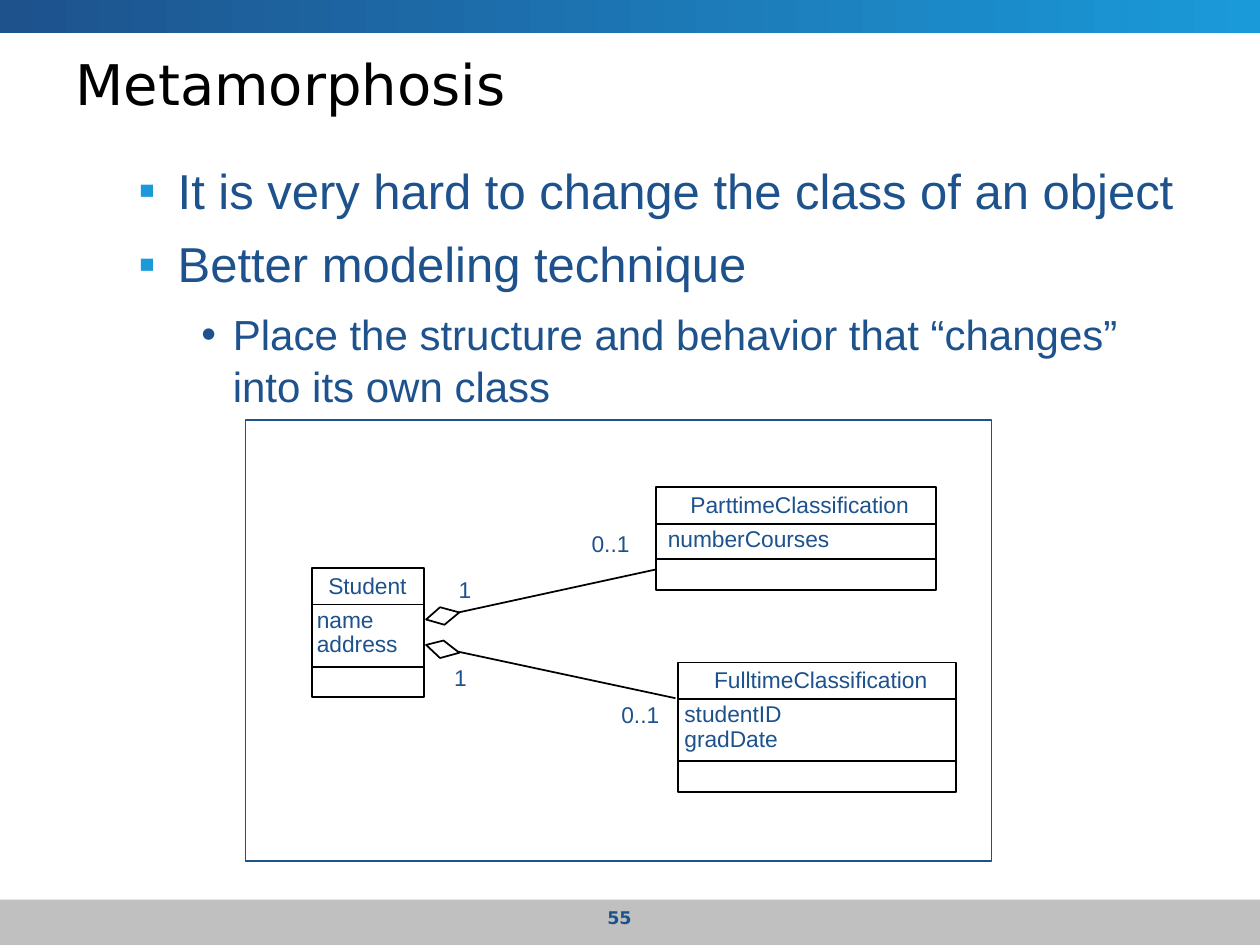
from lxml.etree import SubElement
from pptx import Presentation
from pptx.dml.color import RGBColor
from pptx.enum.shapes import MSO_CONNECTOR, MSO_SHAPE
from pptx.enum.text import MSO_ANCHOR, PP_ALIGN
from pptx.oxml.ns import qn
from pptx.util import Pt

COLORS = {"navy": "1D528D", "sky": "1B9AD9", "grey": "C0C0C0",
          "white": "FFFFFF", "black": "000000"}


def rgb(name):
    return RGBColor.from_string(COLORS[name])


class SlideWriter:
    body_font = "Arial"
    heading_font = "DejaVu Sans"

    def __init__(self, slide):
        self.slide = slide
        self.shapes = slide.shapes

    def paint(self, shape, fill=None, line=None, weight=1):
        shape.shadow.inherit = False
        if fill:
            shape.fill.solid()
            shape.fill.fore_color.rgb = rgb(fill)
        else:
            shape.fill.background()
        if line:
            shape.line.color.rgb = rgb(line)
            shape.line.width = Pt(weight)
        else:
            shape.line.fill.background()
        return shape

    def rect(self, x, y, w, h, **style):
        shape = self.shapes.add_shape(MSO_SHAPE.RECTANGLE, Pt(x), Pt(y), Pt(w), Pt(h))
        return self.paint(shape, **style)

    def gradient_band(self, x, y, w, h, stops):
        band = self.rect(x, y, w, h)
        band.fill.gradient()
        band.fill.gradient_angle = 0
        for stop, (position, color) in zip(band.fill.gradient_stops, stops):
            stop.position = position
            stop.color.rgb = rgb(color)

    def line(self, x1, y1, x2, y2):
        line = self.shapes.add_connector(
            MSO_CONNECTOR.STRAIGHT, Pt(x1), Pt(y1), Pt(x2), Pt(y2))
        line.line.color.rgb = rgb("black")
        line.line.width = Pt(1)
        SubElement(line._element.spPr, qn("a:effectLst"))

    def polygon(self, points):
        start, *others = [(Pt(x), Pt(y)) for x, y in points]
        builder = self.shapes.build_freeform(*start)
        builder.add_line_segments(others, close=True)
        self.paint(builder.convert_to_shape(), fill="white", line="black")

    def style(self, paragraph, size, font, color="navy", bold=False):
        paragraph.font.size = Pt(size)
        paragraph.font.name = font
        paragraph.font.bold = bold
        paragraph.font.color.rgb = rgb(color)

    def text(self, x, y, w, h, words, size=13, font=body_font, wrap=False,
             anchor=MSO_ANCHOR.TOP, align=PP_ALIGN.LEFT, **look):
        frame = self.shapes.add_textbox(Pt(x), Pt(y), Pt(w), Pt(h)).text_frame
        frame.word_wrap = wrap
        frame.vertical_anchor = anchor
        paragraph = frame.paragraphs[0]
        paragraph.text = words
        paragraph.alignment = align
        self.style(paragraph, size, font, **look)

    def bullets(self, x, y, w, h, items):
        frame = self.shapes.add_textbox(Pt(x), Pt(y), Pt(w), Pt(h)).text_frame
        frame.word_wrap = True
        frame.margin_top = Pt(5.3)
        levels = {1: ("▪", "sky", 58.5, 22.5, 28, 7), 2: ("•", "navy", 90, 18, 24, 8)}
        for i, (level, words) in enumerate(items):
            mark, color, indent, hanging, size, before = levels[level]
            paragraph = frame.add_paragraph() if i else frame.paragraphs[0]
            paragraph.text = words
            paragraph.level = level
            paragraph.line_spacing = 1.04
            if i:
                paragraph.space_before = Pt(before)
            props = paragraph._p.get_or_add_pPr()
            props.set("marL", str(Pt(indent)))
            props.set("indent", str(-Pt(hanging)))
            bullet_color = SubElement(props, qn("a:buClr"))
            SubElement(bullet_color, qn("a:srgbClr"), val=COLORS[color])
            SubElement(props, qn("a:buFont"), typeface=self.body_font)
            SubElement(props, qn("a:buChar"), char=mark)
            self.style(paragraph, size, self.body_font)

    def uml_class(self, x, y, w, h, name, name_box, attributes, attribute_x):
        """Class box: name, attributes and an empty operations part."""
        self.rect(x, y, w, h, line="black")
        name_x, name_w = name_box
        self.text(name_x, y - 1.5, name_w, 23, name)
        for divider_y in (y + 21, y + h - 17.5):
            self.line(x, divider_y, x + w, divider_y)
        for i, (attribute, width) in enumerate(attributes):
            self.text(attribute_x, y + 18 + 14 * i, width, 23, attribute)


def main():
    prs = Presentation()
    prs.slide_width, prs.slide_height = Pt(720), Pt(540)
    page = SlideWriter(prs.slides.add_slide(prs.slide_layouts[6]))

    # Footer and header bands
    page.rect(0, 514, 720, 26, fill="grey")
    page.gradient_band(0, 0, 720, 19, [(0, "navy"), (1, "sky")])

    # Title and bullet points
    page.text(36, 25, 648, 45, "Metamorphosis", size=32, font=page.heading_font,
              wrap=True, anchor=MSO_ANCHOR.MIDDLE, color="black")
    page.bullets(36, 85, 648, 413, [
        (1, "It is very hard to change the class of an object"),
        (1, "Better modeling technique"),
        (2, "Place the structure and behavior that “changes” into its own class"),
    ])

    # Diagram frame and classes
    page.rect(140.5, 240, 426, 252, fill="white", line="navy", weight=0.75)
    page.uml_class(375, 278.5, 160, 58.5, "ParttimeClassification", (387.5, 139),
                   [("numberCourses", 106.5)], 374.5)
    page.uml_class(387.5, 378.5, 159, 74, "FulltimeClassification", (401, 136),
                   [("studentID", 70), ("gradDate", 67.5)], 384)
    page.uml_class(178.5, 324.5, 64, 74, "Student", (180.5, 59),
                   [("name", 47), ("address", 60.5)], 174)

    # Aggregations, each with a diamond at the student end
    aggregations = [
        ((243.5, 354), (374.5, 325.5), [(254, 357), (262.5, 350), (251.5, 347)]),
        ((243.5, 368.5), (386, 399), [(253.5, 366), (262.5, 373), (251.5, 376)]),
    ]
    for student_end, class_end, diamond in aggregations:
        page.line(*student_end, *class_end)
        page.polygon([student_end, *diamond])

    # Multiplicities
    for x, y, width, words in [(331, 299, 36, "0..1"), (348, 397, 36, "0..1"),
                               (255, 325.5, 21.5, "1"), (252.5, 376, 21.5, "1")]:
        page.text(x, y, width, 23, words)

    # Page number
    page.text(270, 515, 168, 20, "55", size=10, font=page.heading_font, wrap=True,
              align=PP_ALIGN.CENTER, bold=True)

    prs.save("out.pptx")


if __name__ == "__main__":
    main()
